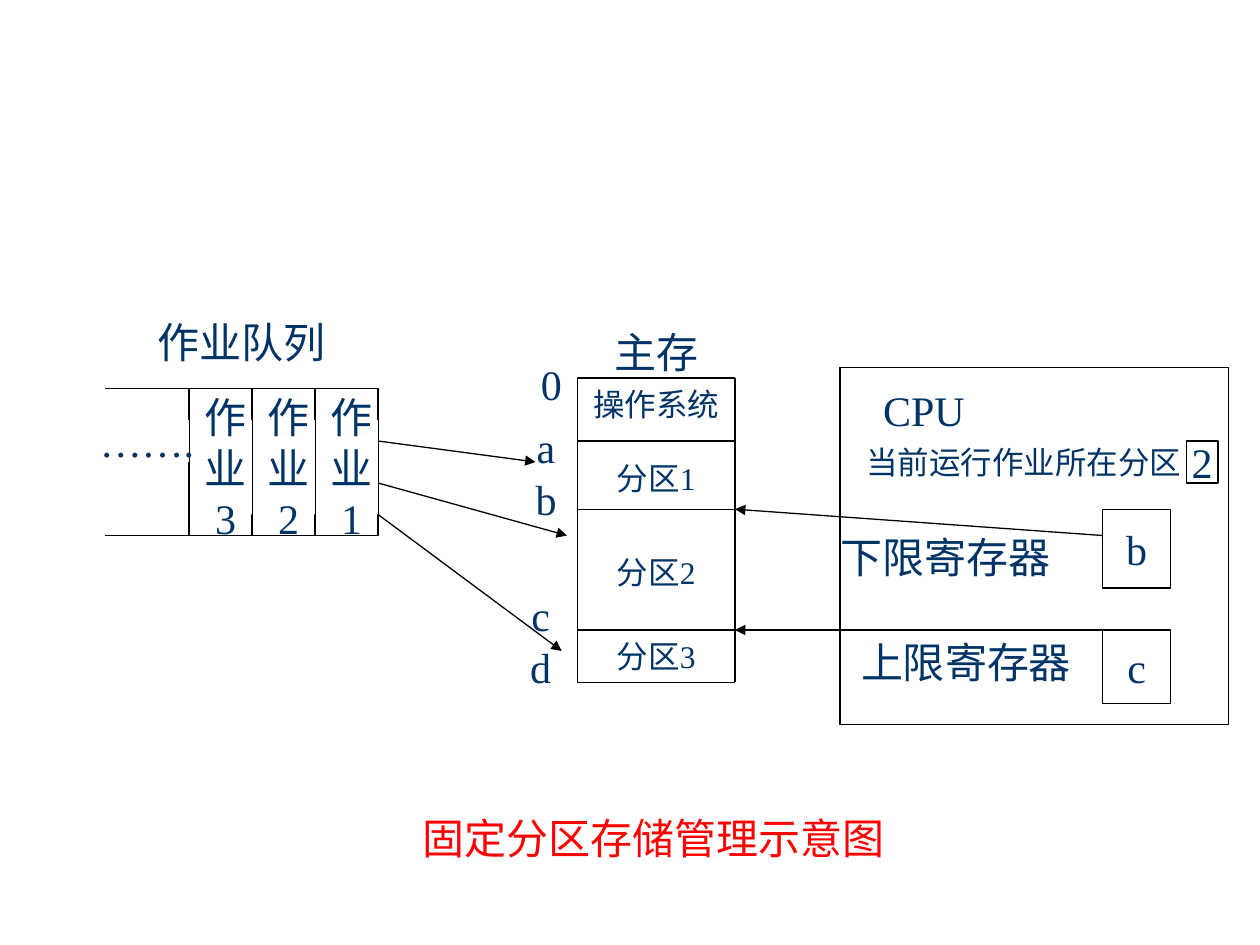
from lxml import etree
from pptx import Presentation, util as u
from pptx.dml.color import RGBColor
from pptx.enum import shapes, text
from pptx.oxml.ns import qn

PX = 9525
FONT = "Times New Roman"
COLORS = {"paper": "FFFFFF", "line": "000000", "text": "003366", "caption": "FF0000"}


def rgb(name):
    return RGBColor.from_string(COLORS[name])


def add_box(s, x, y, w, h, lines=(), size=24, color="text", outlined=False):
    """Add a white rectangle with one centred paragraph for each of lines."""
    sp = s.shapes.add_shape(shapes.MSO_SHAPE.RECTANGLE, x * PX, y * PX, w * PX, h * PX)
    sp.shadow.inherit = False
    sp.fill.solid()
    sp.fill.fore_color.rgb = rgb("paper")
    if outlined:
        sp.line.color.rgb = rgb("line")
        sp.line.width = u.Pt(0.75)
    else:
        sp.line.fill.background()
    tf = sp.text_frame
    tf.word_wrap = False
    tf.vertical_anchor = text.MSO_ANCHOR.MIDDLE
    for i, line in enumerate(lines):
        p = tf.add_paragraph() if i else tf.paragraphs[0]
        p.text = line
        p.alignment = text.PP_ALIGN.CENTER
        p.font.size = u.Pt(size)
        p.font.name = FONT
        p.font.color.rgb = rgb(color)
    return sp


def add_line(s, x1, y1, x2, y2, arrow=False):
    c = s.shapes.add_connector(
        shapes.MSO_CONNECTOR.STRAIGHT, x1 * PX, y1 * PX, x2 * PX, y2 * PX)
    c.line.color.rgb = rgb("line")
    c.line.width = u.Pt(0.75)
    if arrow:
        etree.SubElement(c.line._get_or_add_ln(), qn("a:tailEnd"), type="triangle")
    etree.SubElement(c._element.spPr, qn("a:effectLst"))
    return c


def job_queue(s, x, y, w, h):
    cell = 48
    for edge in (y, y + h):
        add_line(s, x, edge, x + w, edge)
    for i in range(4):
        add_line(s, x + w - i * cell, y, x + w - i * cell, y + h)
    for job in (1, 2, 3):
        add_box(s, x + w - job * cell + 8, y + 24, 40, 72, ["作", "业", str(job)])
    add_box(s, x, y + 24, 64, 32, ["……."])
    add_box(s, x, y - 48, w, 24, ["作业队列"])


def main_memory(s, x, y, w, h):
    for side in (x, x + w):
        add_line(s, side, y, side, y + h)
    for dy in (0, 48, 100, 192, h):
        add_line(s, x, y + dy, x + w, y + dy)
    add_box(s, x + 16, y - 32, 88, 24, ["主存"])
    for dy, label in ((8, "操作系统"), (64, "分区1"), (136, "分区2"), (200, "分区3")):
        add_box(s, x + 16, y + dy, 88, 24, [label], size=18)
    for dx, dy, address in ((-32, -8, "0"), (-36, 40, "a"), (-36, 80, "b"),
                            (-40, 168, "c"), (-40, 208, "d")):
        add_box(s, x + dx, y + dy, 24, 24, [address])


def cpu(s, x, y, w, h):
    add_box(s, x, y, w, h, outlined=True)
    add_box(s, x + 16, y + 16, 96, 32, ["CPU"])
    add_box(s, x + 8, y + 56, 264, 32, ["当前运行作业所在分区"], size=18)
    add_box(s, x + 264, y + 56, 24, 32, ["2"], outlined=True)
    add_box(s, x + 200, y + 108, 52, 60, ["b"], outlined=True)
    add_box(s, x + 200, y + 200, 52, 56, ["c"], outlined=True)
    add_box(s, x + 16, y + 128, 128, 32, ["下限寄存器"])
    add_box(s, x + 32, y + 208, 128, 32, ["上限寄存器"])


def arrows(s):
    """Link jobs to partitions, and registers to partition bounds."""
    for ends in ((288, 336, 408, 352), (288, 368, 432, 408), (288, 392, 428, 496),
                 (840, 408, 560, 388), (840, 480, 560, 480)):
        add_line(s, *ends, arrow=True)


def main():
    prs = Presentation()
    prs.slide_width, prs.slide_height = 960 * PX, 720 * PX
    s = prs.slides.add_slide(prs.slide_layouts[6])
    job_queue(s, 80, 296, 208, 112)
    main_memory(s, 440, 288, 120, 232)
    cpu(s, 640, 280, 296, 272)
    arrows(s)
    add_box(s, 266, 602, 464, 72, ["固定分区存储管理示意图"], color="caption")
    prs.save("out.pptx")


if __name__ == "__main__":
    main()
